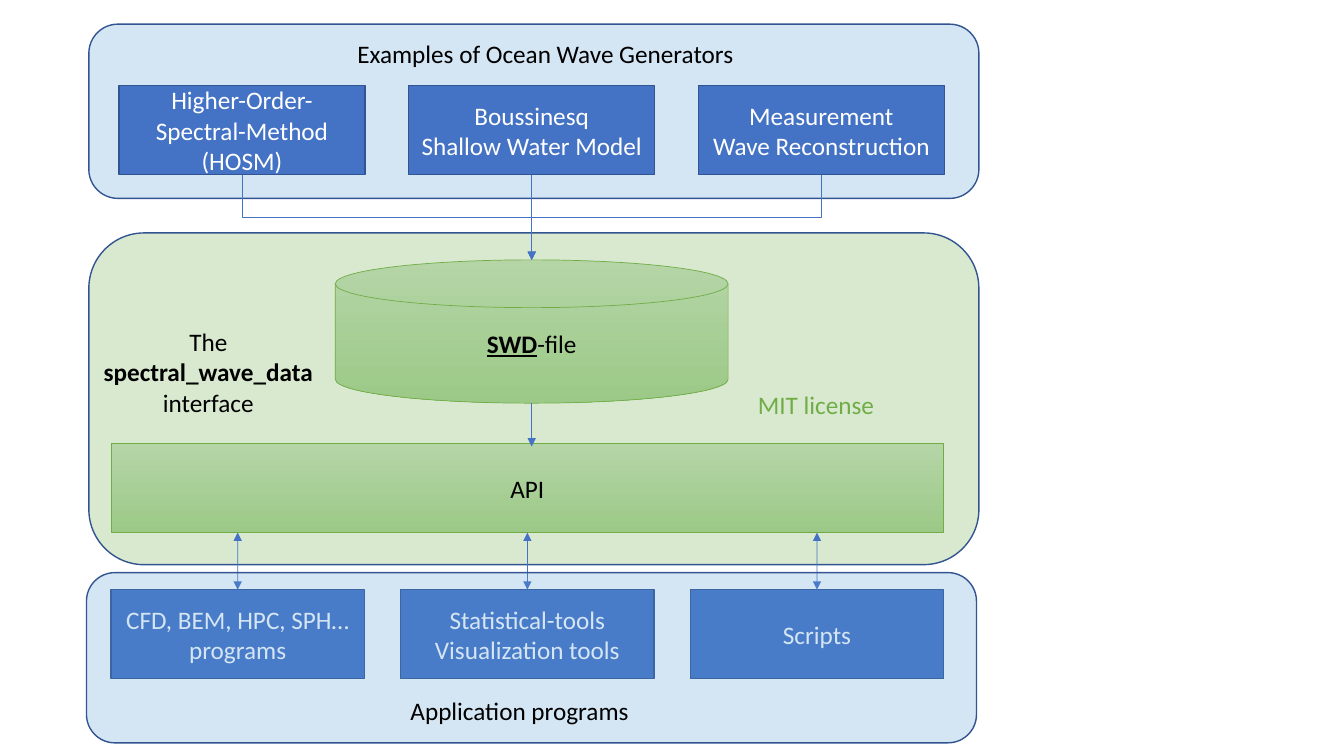
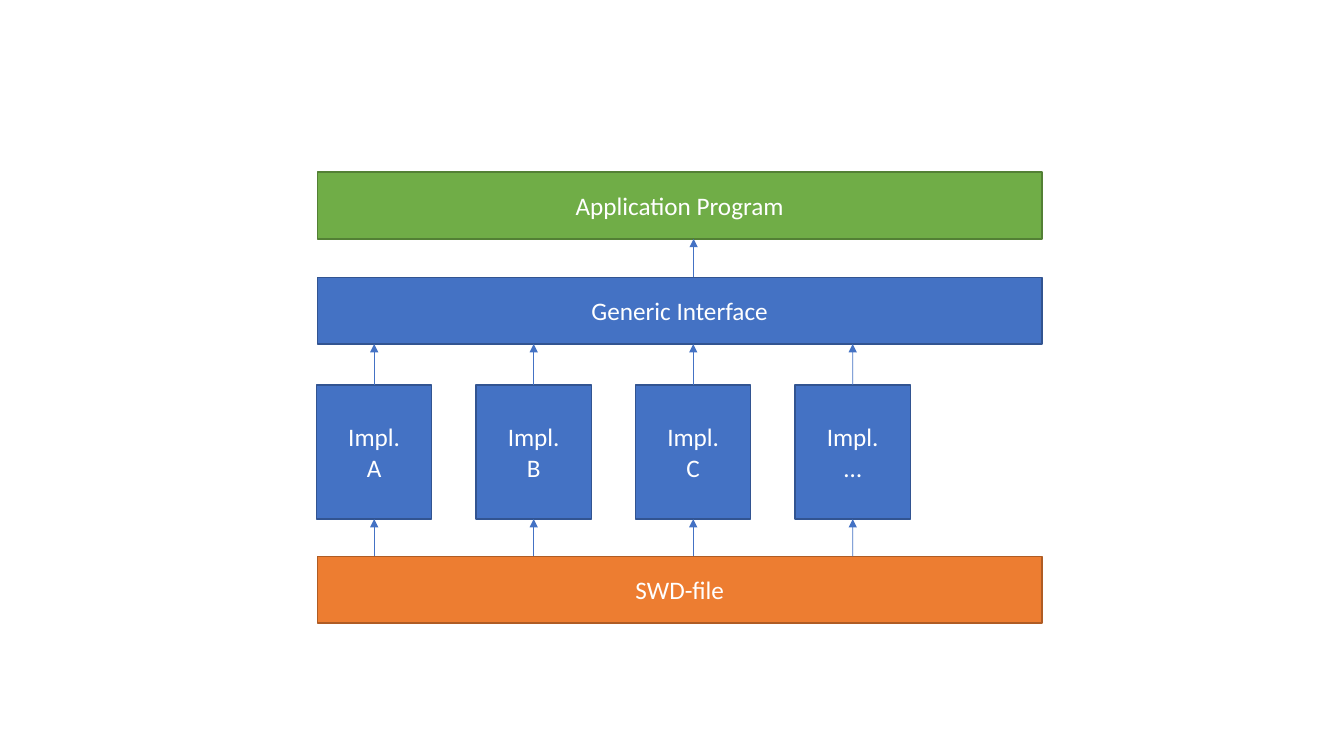
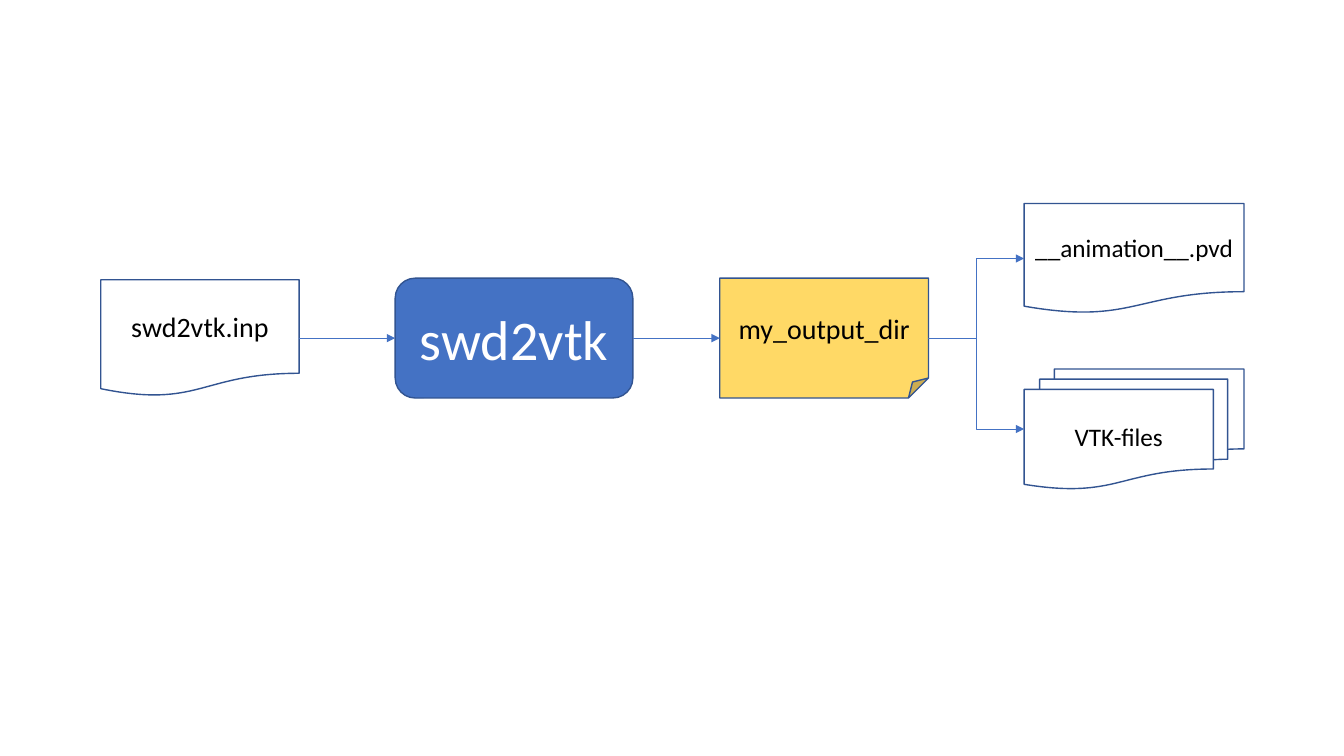
import lxml.etree
import pptx
import pptx.dml.color
import pptx.enum.shapes
import pptx.enum.text
import pptx.oxml.ns
import pptx.util

Cm = pptx.util.Cm
Pt = pptx.util.Pt
RGBColor = pptx.dml.color.RGBColor
Shape = pptx.enum.shapes.MSO_SHAPE
Connector = pptx.enum.shapes.MSO_CONNECTOR
qn = pptx.oxml.ns.qn

BLUE = RGBColor(0x44, 0x72, 0xC4)
DARK_BLUE = RGBColor(0x32, 0x54, 0x91)
LIGHT_BLUE = RGBColor(0x5B, 0x9B, 0xD5)
GREEN = RGBColor(0x70, 0xAD, 0x47)
DARK_GREEN = RGBColor(0x53, 0x80, 0x35)
ORANGE = RGBColor(0xED, 0x7D, 0x31)
DARK_ORANGE = RGBColor(0xAF, 0x5C, 0x24)
YELLOW = RGBColor(0xFF, 0xD9, 0x66)
WHITE = RGBColor(0xFF, 0xFF, 0xFF)
BLACK = RGBColor(0x00, 0x00, 0x00)
GREEN_GRADIENT = (RGBColor(0xB5, 0xD5, 0xA7), RGBColor(0x9C, 0xC9, 0x87))
FONT = "Calibri"
TOP, LEFT, BOTTOM, RIGHT = range(4)


def add_box(page, left, top, width, height, text="", kind=Shape.FLOWCHART_PROCESS,
            fill=BLUE, opacity=100, line=DARK_BLUE, line_width=1,
            color=WHITE, size=18, bold="", underline=False):
    """Add a shape, or a plain label when kind is None; sizes in cm, bold is the words to embolden."""
    place = Cm(left), Cm(top), Cm(width), Cm(height)
    if kind is None:
        box = page.shapes.add_textbox(*place)
        box.text_frame.word_wrap = False
    else:
        box = page.shapes.add_shape(kind, *place)
        box.shadow.inherit = False
        box.line.color.rgb = line
        box.line.width = Pt(line_width)
        if isinstance(fill, RGBColor):
            box.fill.solid()
            box.fill.fore_color.rgb = fill
        else:
            box.fill.gradient()
            box.fill.gradient_angle = 270
            for stop, shade in zip(box.fill.gradient_stops, fill):
                stop.color.rgb = shade
        if opacity < 100:
            paint = box._element.spPr.find(qn("a:solidFill"))[0]
            lxml.etree.SubElement(paint, qn("a:alpha"), val=str(opacity * 1000))
    if not text:
        return box
    frame = box.text_frame
    for number, words in enumerate(text.split("\n")):
        para = frame.add_paragraph() if number else frame.paragraphs[0]
        para.alignment = pptx.enum.text.PP_ALIGN.CENTER
        parts = words.partition(bold) if bold else (words,)
        for part in filter(None, parts):
            span = para.add_run()
            span.text = part
            span.font.name = FONT
            span.font.size = Pt(size)
            span.font.color.rgb = color
            span.font.bold = part == bold
            span.font.underline = underline and part == bold
    return box


def add_arrow(page, start, end, kind=Connector.STRAIGHT, ends=("tailEnd",), downward=False):
    """Add an arrow between two points in cm; a downward elbow leaves vertically."""
    (x1, y1), (x2, y2) = start, end
    if downward:
        side = 1 if x2 > x1 else -1
        middle_x, middle_y = (x1 + x2) / 2, (y1 + y2) / 2
        half_drop, half_span = side * (y2 - y1) / 2, abs(x2 - x1) / 2
        x1, x2 = middle_x + half_drop, middle_x - half_drop
        y1, y2 = middle_y - half_span, middle_y + half_span
    arrow = page.shapes.add_connector(kind, Cm(x1), Cm(y1), Cm(x2), Cm(y2))
    arrow.line.color.rgb = BLUE
    arrow.line.width = Pt(0.5)
    properties = arrow._element.spPr
    if downward:
        properties.find(qn("a:xfrm")).set("rot", "16200000" if side > 0 else "5400000")
    for name in ends:
        lxml.etree.SubElement(properties.find(qn("a:ln")), qn("a:" + name), type="triangle")
    lxml.etree.SubElement(properties, qn("a:effectLst"))
    return arrow


deck = pptx.Presentation()
deck.slide_width = Cm(33.87)
deck.slide_height = Cm(19.05)
blank = deck.slide_layouts[6]

# Wave generators, file interface and application programs
page = deck.slides.add_slide(blank)
panel = {"kind": Shape.ROUNDED_RECTANGLE, "opacity": 26}
soft_green = {"fill": GREEN_GRADIENT, "line": GREEN, "line_width": 0.5, "color": BLACK}
label = {"kind": None, "color": BLACK}
column_step = 7.3
file_x, file_top = 13.4, 6.55

add_box(page, 2.24, 5.87, 22.43, 8.36, fill=GREEN, **panel)
add_box(page, 2.24, 0.61, 22.43, 4.39, fill=LIGHT_BLUE, **panel)
add_box(page, 8.45, file_top, 9.9, 3.61, "SWD-file", kind=Shape.FLOWCHART_MAGNETIC_DISK,
        bold="SWD", underline=True, **soft_green)
generators = ["Higher-Order-Spectral-Method (HOSM)",
              "Boussinesq\nShallow Water Model",
              "Measurement\nWave Reconstruction"]
for column, text in enumerate(generators):
    left = 3 + column * column_step
    generator = add_box(page, left, 2.16, 6.2, 2.24, text)
    start, end = (left + 3.1, 4.4), (file_x, file_top)
    if column == 1:
        add_arrow(page, start, end).begin_connect(generator, BOTTOM)
    else:
        add_arrow(page, start, end, kind=Connector.ELBOW, downward=True)

add_box(page, 2.8, 11.18, 20.98, 2.24, "API", kind=Shape.RECTANGLE, **soft_green)
add_arrow(page, (file_x, 10.16), (file_x, 11.25))
programs = ["CFD, BEM, HPC, SPH…\nprograms",
            "Statistical-tools\nVisualization tools",
            "Scripts"]
for column, text in enumerate(programs):
    left = 2.8 + column * column_step
    program = add_box(page, left, 14.86, 6.38, 2.24, text)
    x = left + 3.19
    arrow = add_arrow(page, (x, 14.86), (x, 13.42), ends=("headEnd", "tailEnd"))
    arrow.begin_connect(program, TOP)

add_box(page, 2.34, 8.1, 5.82, 2.57, "The\nspectral_wave_data\ninterface",
        bold="spectral_wave_data", **label)
add_box(page, 8.69, 0.84, 10.11, 1.02, "Examples of Ocean Wave Generators", **label)
add_box(page, 2.18, 14.43, 22.43, 4.29, fill=LIGHT_BLUE, **panel)
add_box(page, 10.06, 17.4, 6.07, 1.02, "Application programs", **label)
add_box(page, 18.8, 9.68, 3.53, 1.02, "MIT license", kind=None, color=GREEN)

# Implementations between the file and the generic interface
page = deck.slides.add_slide(blank)
bars = [(4.34, "Application Program", GREEN, DARK_GREEN),
        (6.99, "Generic Interface", BLUE, DARK_BLUE),
        (14.02, "SWD-file", ORANGE, DARK_ORANGE)]
for top, text, fill, line in bars:
    add_box(page, 8, top, 18.26, 1.68, text, fill=fill, line=line)
add_arrow(page, (17.48, 6.99), (17.48, 6.02))
for column, name in enumerate("ABC…"):
    left = 7.98 + column * 4.02
    implementation = add_box(page, left, 9.7, 2.9, 3.38, "Impl.\n" + name)
    x = left + 1.45
    add_arrow(page, (x, 9.7), (x, 8.67)).begin_connect(implementation, TOP)
    add_arrow(page, (x, 14.02), (x, 13.08)).end_connect(implementation, BOTTOM)

# From input file to output files
page = deck.slides.add_slide(blank)
paper = {"fill": WHITE, "color": BLACK}
source = add_box(page, 2.54, 7.05, 5, 2.94, "swd2vtk.inp",
                 kind=Shape.FLOWCHART_DOCUMENT, size=20, **paper)
converter = add_box(page, 9.96, 7.01, 5.99, 3.02, "swd2vtk",
                    kind=Shape.FLOWCHART_ALTERNATE_PROCESS, size=40)
folder = add_box(page, 18.14, 7.01, 5.26, 3.02, "my_output_dir",
                 kind=Shape.FOLDED_CORNER, fill=YELLOW, color=BLACK, size=20)
animation = add_box(page, 25.81, 5.13, 5.54, 2.77, "__animation__.pvd",
                    kind=Shape.FLOWCHART_DOCUMENT, **paper)
results = add_box(page, 25.81, 9.3, 5.54, 3.02, "VTK-files",
                  kind=Shape.FLOWCHART_MULTIDOCUMENT, **paper)
links = [(source, converter, Connector.STRAIGHT),
         (converter, folder, Connector.STRAIGHT),
         (folder, animation, Connector.ELBOW),
         (folder, results, Connector.ELBOW)]
for origin, target, kind in links:
    arrow = add_arrow(page, (0, 0), (1, 1), kind=kind)
    arrow.begin_connect(origin, RIGHT)
    arrow.end_connect(target, LEFT)

deck.save("out.pptx")
